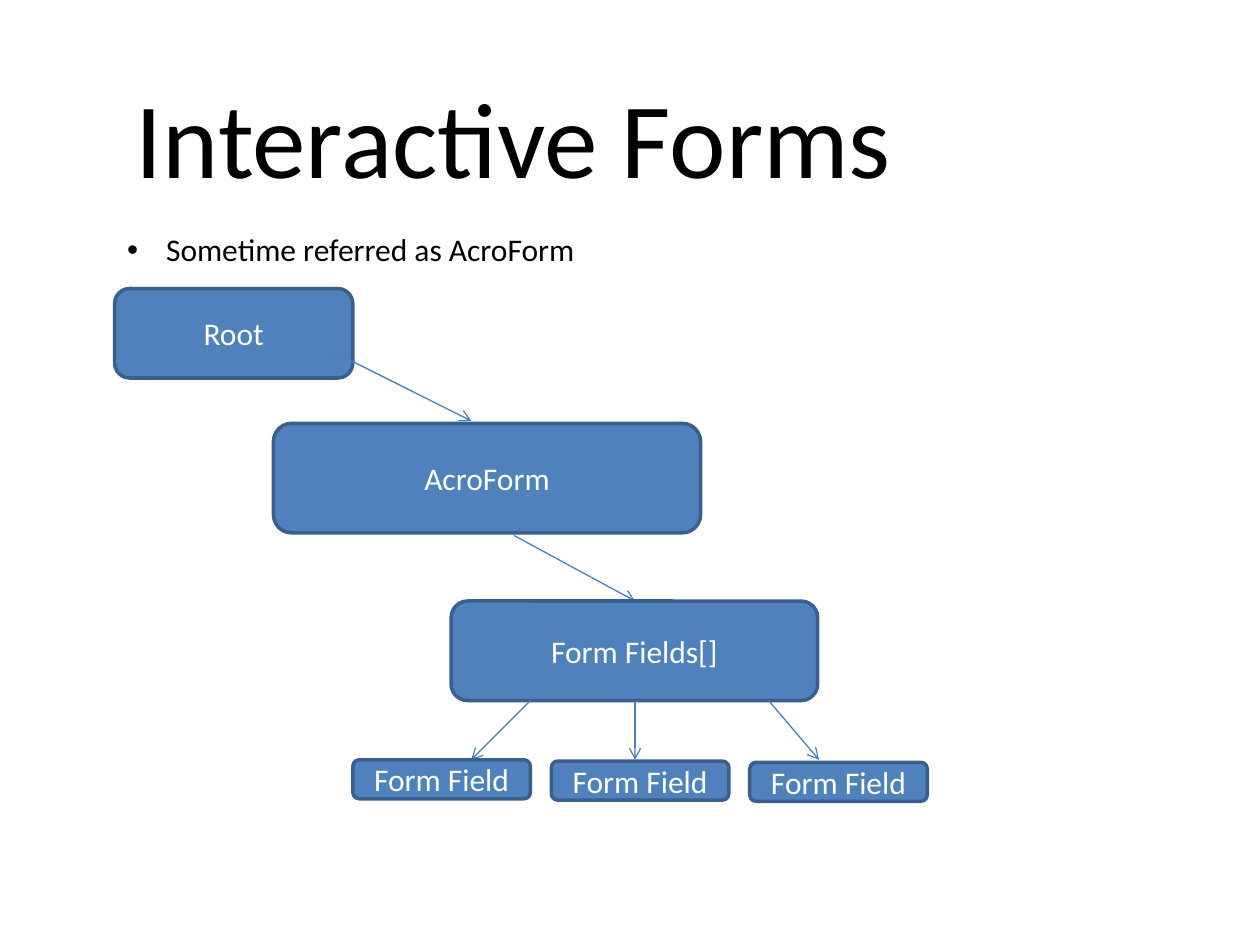
from dataclasses import dataclass

from lxml.etree import SubElement
from pptx import Presentation
from pptx.dml.color import RGBColor as Color
from pptx.enum.shapes import MSO_CONNECTOR as Connector, MSO_SHAPE as Shape
from pptx.enum.text import MSO_ANCHOR as Anchor, PP_ALIGN as Align
from pptx.oxml.ns import qn
from pptx.util import Inches, Pt


@dataclass(frozen=True)
class Theme:
    font: str = "Calibri"
    text: str = "000000"
    node_text: str = "FFFFFF"
    node_fill: str = "4F81BD"
    node_line: str = "3A5F8C"
    arrow: str = "4B7EBC"
    title_size: float = 61.2
    body_size: float = 18
    node_width: float = 2
    arrow_width: float = 0.75


def write_text(frame, text, *, font, size, color, align=Align.LEFT, anchor=Anchor.TOP):
    frame.word_wrap = True
    frame.vertical_anchor = anchor
    para = frame.paragraphs[0]
    para.alignment = align
    span = para.add_run()
    span.text = text
    span.font.name = font
    span.font.size = Pt(size)
    span.font.color.rgb = Color.from_string(color)
    return para


class SlideBuilder:
    """Draws themed elements on the current slide."""

    def __init__(self, slide, theme):
        self.slide = slide
        self.theme = theme

    def text(self, text, left, top, width, height, size):
        box = self.slide.shapes.add_textbox(*map(Inches, (left, top, width, height)))
        return write_text(box.text_frame, text, font=self.theme.font,
                          size=size, color=self.theme.text)

    def bullet(self, text, left, top, width, height, indent):
        para = self.text(text, left, top, width, height, self.theme.body_size)
        properties = para._p.get_or_add_pPr()
        properties.set("marL", str(Inches(indent)))
        properties.set("indent", str(-Inches(indent)))
        SubElement(properties, qn("a:buFont"), typeface="Arial")
        SubElement(properties, qn("a:buChar"), char="•")

    def node(self, text, left, top, width, height):
        theme = self.theme
        node = self.slide.shapes.add_shape(
            Shape.ROUNDED_RECTANGLE, *map(Inches, (left, top, width, height)))
        node.shadow.inherit = False
        node.fill.solid()
        node.fill.fore_color.rgb = Color.from_string(theme.node_fill)
        node.line.color.rgb = Color.from_string(theme.node_line)
        node.line.width = Pt(theme.node_width)
        write_text(node.text_frame, text, font=theme.font, size=theme.body_size,
                   color=theme.node_text, align=Align.CENTER, anchor=Anchor.MIDDLE)

    def arrow(self, start, end):
        arrow = self.slide.shapes.add_connector(
            Connector.STRAIGHT, *map(Inches, (*start, *end)))
        arrow.line.color.rgb = Color.from_string(self.theme.arrow)
        arrow.line.width = Pt(self.theme.arrow_width)
        SubElement(arrow.line._get_or_add_ln(), qn("a:tailEnd"), type="arrow")
        SubElement(arrow._element.spPr, qn("a:effectLst"))


def main():
    deck = Presentation()
    deck.slide_width, deck.slide_height = Inches(10), Inches(7.5)
    theme = Theme()
    page = SlideBuilder(deck.slides.add_slide(deck.slide_layouts[6]), theme)

    page.text("Interactive Forms", 0.98, 0.52, 8.11, 0.94, theme.title_size)
    page.bullet("Sometime referred as AcroForm", 0.91, 1.78, 8.82, 0.4, indent=0.31)

    page.node("Root", 0.91, 2.29, 1.89, 0.71)
    page.arrow((2.64, 2.79), (3.74, 3.34))
    page.node("AcroForm", 2.17, 3.36, 3.39, 0.87)
    page.arrow((4.08, 4.25), (5.04, 4.77))
    page.node("Form Fields[]", 3.58, 4.77, 2.91, 0.79)

    fields_bottom, field_top = 5.56, 6.03
    for start, end in ((4.21, 3.74), (5.04, 5.04), (6.1, 6.5)):
        page.arrow((start, fields_bottom), (end, field_top))
    for index in range(3):
        page.node("Form Field", 2.8 + 1.575 * index, field_top + 0.01 * index, 1.41, 0.31)

    deck.save("out.pptx")


if __name__ == "__main__":
    main()
